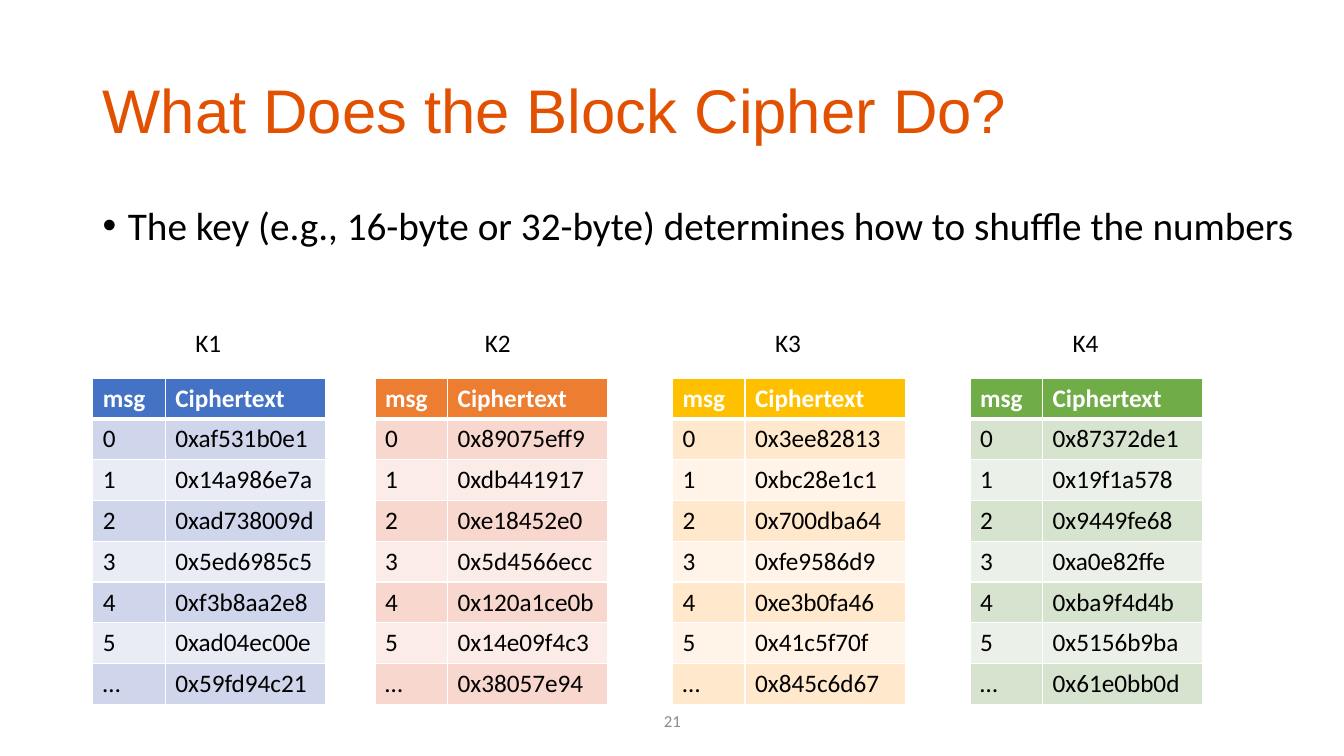
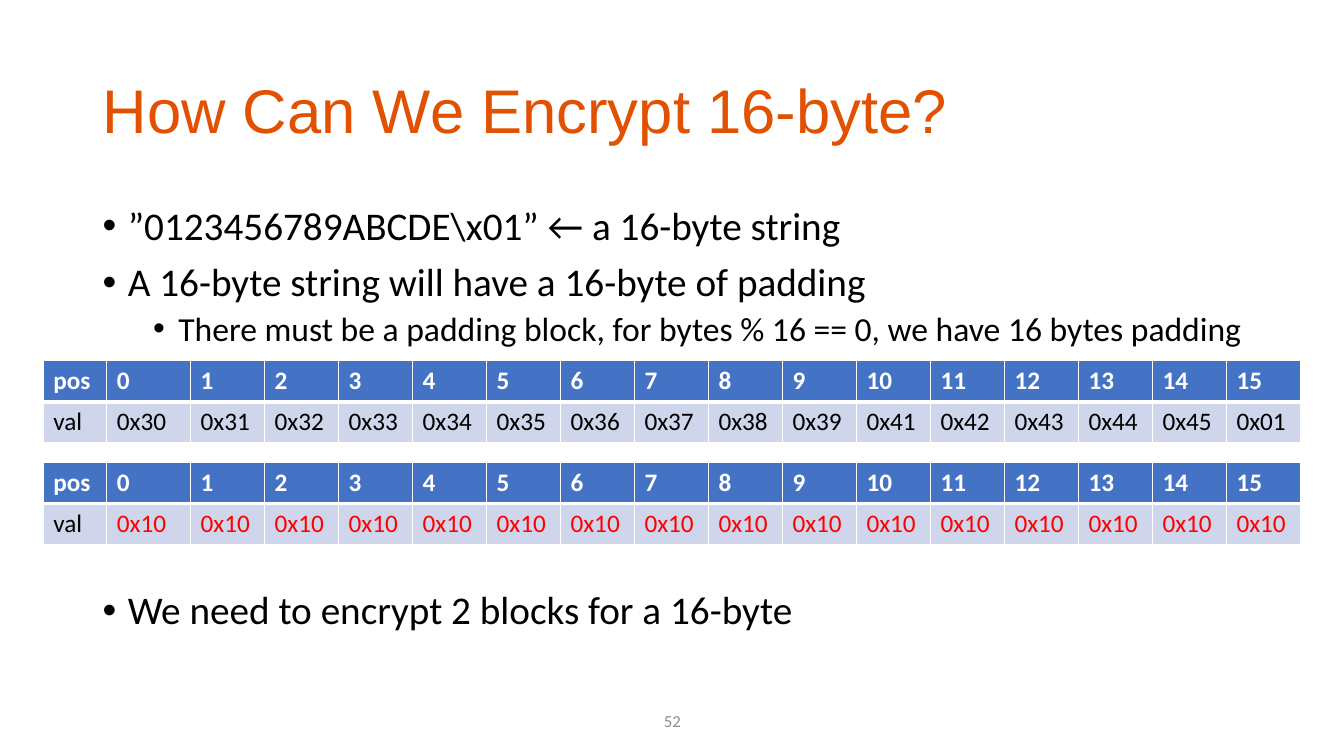
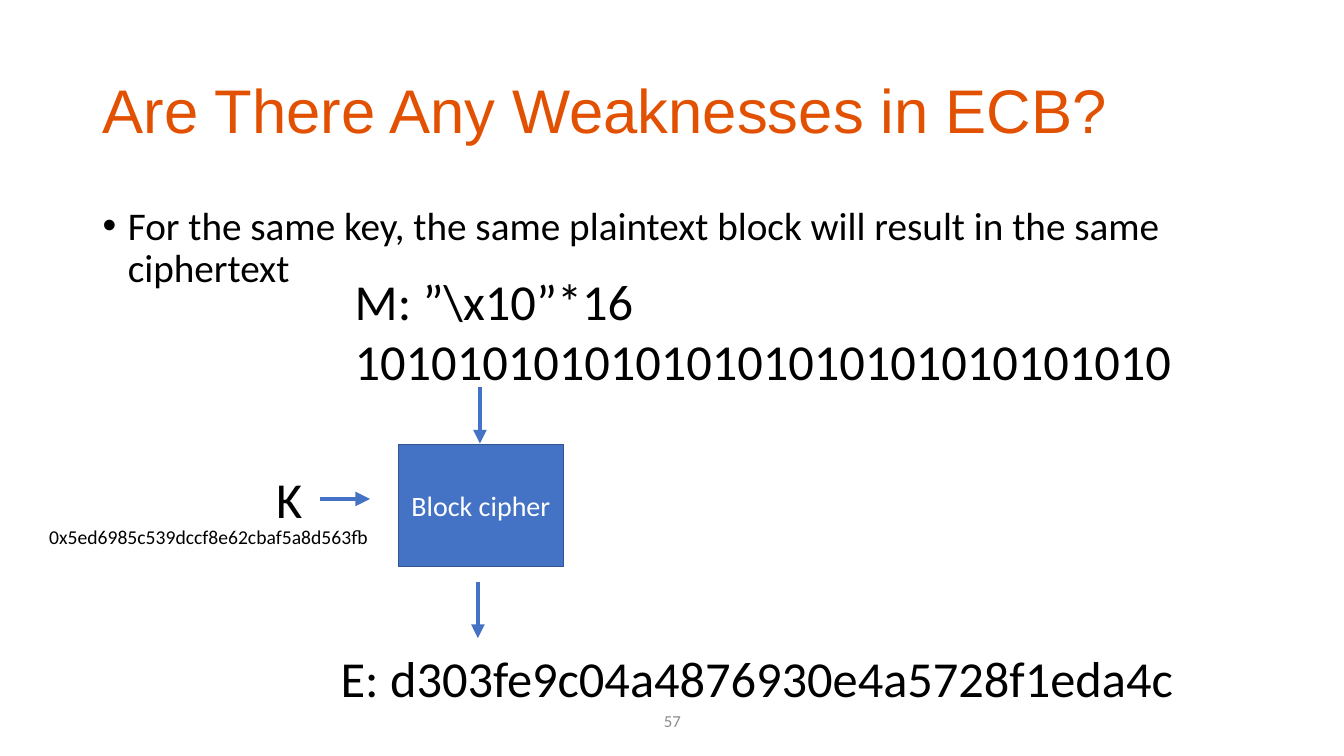
from lxml import etree
from pptx import Presentation
from pptx.dml.color import RGBColor
from pptx.enum import shapes, text
from pptx.oxml.ns import qn
from pptx.util import Inches, Pt

WHITE = RGBColor(0xFF, 0xFF, 0xFF)
BLACK = RGBColor(0, 0, 0)
RED = RGBColor(0xFF, 0, 0)
TITLE_ORANGE = RGBColor(0xE1, 0x51, 0x01)
FOOTER_GRAY = RGBColor(0x8C, 0x8C, 0x8C)
BLUE = RGBColor(0x44, 0x72, 0xC4)
BLUE_EDGE = RGBColor(0x32, 0x54, 0x91)

# Table themes: header fill, odd row fill, even row fill
BLUE_THEME = (BLUE, RGBColor(0xCF, 0xD5, 0xEA), RGBColor(0xE9, 0xEB, 0xF5))
ORANGE_THEME = (RGBColor(0xED, 0x7D, 0x31), RGBColor(0xF8, 0xD7, 0xCE), RGBColor(0xFC, 0xEC, 0xE8))
GOLD_THEME = (RGBColor(0xFF, 0xC0, 0x00), RGBColor(0xFF, 0xE8, 0xCC), RGBColor(0xFF, 0xF4, 0xE7))
GREEN_THEME = (RGBColor(0x70, 0xAD, 0x47), RGBColor(0xD5, 0xE3, 0xCF), RGBColor(0xEB, 0xF1, 0xE9))

CENTER = text.PP_ALIGN.CENTER
MIDDLE = text.MSO_ANCHOR.MIDDLE
MARGIN = 0.92
ROW_HEIGHT = 0.81 / 2

MESSAGES = ["0", "1", "2", "3", "4", "5", "…"]
# Key, label left, table left, theme, ciphertexts
KEY_TABLES = [
    ("K1", 1.84, 0.92, BLUE_THEME,
     ["0xaf531b0e1", "0x14a986e7a", "0xad738009d", "0x5ed6985c5",
      "0xf3b8aa2e8", "0xad04ec00e", "0x59fd94c21"]),
    ("K2", 4.71, 3.72, ORANGE_THEME,
     ["0x89075eff9", "0xdb441917", "0xe18452e0", "0x5d4566ecc",
      "0x120a1ce0b", "0x14e09f4c3", "0x38057e94"]),
    ("K3", 7.59, 6.67, GOLD_THEME,
     ["0x3ee82813", "0xbc28e1c1", "0x700dba64", "0xfe9586d9",
      "0xe3b0fa46", "0x41c5f70f", "0x845c6d67"]),
    ("K4", 10.54, 9.62, GREEN_THEME,
     ["0x87372de1", "0x19f1a578", "0x9449fe68", "0xa0e82ffe",
      "0xba9f4d4b", "0x5156b9ba", "0x61e0bb0d"]),
]

# Top, byte values, value colour
BYTE_TABLES = [
    (3.58, [*map(ord, "0123456789ABCDE"), 0x01], BLACK),
    (4.59, [0x10] * 16, RED),
]

# Bullets: text, level, space before in points
SHUFFLE_BULLETS = [
    ("The key (e.g., 16-byte or 32-byte) determines how to shuffle the numbers", 0, 10),
]
PADDING_BULLETS = [
    ("”0123456789ABCDE\\x01” ← a 16-byte string", 0, 10),
    ("A 16-byte string will have a 16-byte of padding", 0, 10),
    ("There must be a padding block, for bytes % 16 == 0, we have 16 bytes padding", 1, 5),
    ("We need to encrypt 2 blocks for a 16-byte", 0, 173),
]
WEAKNESS_BULLETS = [
    ("For the same key, the same plaintext block will result in the same ciphertext", 0, 10),
]

# Lines, left, top, width, height, size, alignment
ECB_LABELS = [
    (["K"], 2.64, 4.59, 0.6, 0.71, 36, None),
    (["M: ”\\x10”*16", "10101010101010101010101010101010"], 3.42, 2.63, 9, 1.31, 36, None),
    (["E: d303fe9c04a4876930e4a5728f1eda4c"], 3.28, 6.37, 8.87, 0.71, 36, None),
    (["0x5ed6985c539dccf8e62cbaf5a8d563fb"], 0.32, 5.16, 3.5, 0.34, 14, CENTER),
]
# Start x, start y, end x, end y, width in points
ECB_ARROWS = [
    (3.17, 4.95, 3.67, 4.95, 3.5),
    (4.74, 5.77, 4.74, 6.33, 3.25),
    (4.76, 3.84, 4.76, 4.4, 3.25),
]


def style(para, size, color=BLACK, name="Calibri", bold=False):
    para.font.size = Pt(size)
    para.font.name = name
    para.font.bold = bold
    para.font.color.rgb = color


def add_text(page, lines, left, top, width, height, size, align=None,
             color=BLACK, name="Calibri", anchor=text.MSO_ANCHOR.TOP):
    box = page.shapes.add_textbox(Inches(left), Inches(top), Inches(width), Inches(height))
    frame = box.text_frame
    frame.word_wrap = True
    frame.vertical_anchor = anchor
    frame.text = "\n".join(lines)
    for para in frame.paragraphs:
        para.alignment = align
        style(para, size, color, name)
    return frame


def add_bullets(page, bullets, width):
    lines = [line for line, _, _ in bullets]
    frame = add_text(page, lines, MARGIN, 2, width, 4.76, 28)
    for para, (_, level, before) in zip(frame.paragraphs, bullets):
        para.font.size = Pt(28 - 4 * level)
        para.level = level
        para.line_spacing = 0.9
        para.space_before = Pt(before)
        props = para._p.get_or_add_pPr()
        props.set("marL", str(Inches(0.25 + 0.5 * level)))
        props.set("indent", str(Inches(-0.25)))
        bullet_font = etree.Element(qn("a:buFont"), typeface="Arial")
        bullet = etree.Element(qn("a:buChar"), char="•")
        default_font = props.find(qn("a:defRPr"))
        default_font.addprevious(bullet_font)
        default_font.addprevious(bullet)


def add_page(deck, title, number, bullets, body_width=11.5):
    page = deck.slides.add_slide(deck.slide_layouts[6])
    heading = add_text(page, [title], MARGIN, 0.4, 11.5, 1.45, 44,
                       color=TITLE_ORANGE, name="Arial", anchor=MIDDLE)
    heading.paragraphs[0].line_spacing = 0.9
    add_bullets(page, bullets, body_width)
    add_text(page, [str(number)], 5.17, 6.95, 3, 0.4, 12, CENTER, FOOTER_GRAY, anchor=MIDDLE)
    return page


def set_borders(cell, top, bottom):
    """Draw white borders; top and bottom are widths in points."""
    props = cell._tc.get_or_add_tcPr()
    for side, width in (("L", 1), ("R", 1), ("T", top), ("B", bottom)):
        line = etree.SubElement(props, qn(f"a:ln{side}"), w=str(Pt(width)))
        fill = etree.SubElement(line, qn("a:solidFill"))
        etree.SubElement(fill, qn("a:srgbClr"), val=str(WHITE))


def add_banded_table(page, rows, left, top, widths, theme, value_color=BLACK):
    """Add a header row and banded rows; value_color applies after the first column."""
    frame = page.shapes.add_table(len(rows), len(widths), Inches(left), Inches(top),
                                  Inches(sum(widths)), Inches(ROW_HEIGHT * len(rows)))
    table = frame.table
    for column, width in zip(table.columns, widths):
        column.width = Inches(width)
    header, odd, even = theme
    for r, row in enumerate(rows):
        for c, value in enumerate(row):
            cell = table.cell(r, c)
            set_borders(cell, 3 if r == 1 else 1, 3 if r == 0 else 1)
            cell.fill.solid()
            cell.fill.fore_color.rgb = header if r == 0 else odd if r % 2 else even
            cell.text = value
            color = WHITE if r == 0 else value_color if c else BLACK
            style(cell.text_frame.paragraphs[0], 18, color, bold=r == 0)


def add_arrow(page, x1, y1, x2, y2, width):
    arrow = page.shapes.add_connector(shapes.MSO_CONNECTOR.STRAIGHT,
                                      Inches(x1), Inches(y1), Inches(x2), Inches(y2))
    arrow.line.color.rgb = BLUE
    arrow.line.width = Pt(width)
    line = arrow._element.spPr.find(qn("a:ln"))
    etree.SubElement(line, qn("a:tailEnd"), type="triangle")
    etree.SubElement(arrow._element.spPr, qn("a:effectLst"))


def add_cipher_box(page):
    box = page.shapes.add_shape(shapes.MSO_SHAPE.RECTANGLE,
                                Inches(3.95), Inches(4.41), Inches(1.64), Inches(1.21))
    box.shadow.inherit = False
    box.fill.solid()
    box.fill.fore_color.rgb = BLUE
    box.line.color.rgb = BLUE_EDGE
    box.line.width = Pt(1)
    box.text_frame.text = "Block cipher"
    box.text_frame.vertical_anchor = MIDDLE
    para = box.text_frame.paragraphs[0]
    para.alignment = CENTER
    style(para, 20, WHITE)


def build_shuffle_page(deck):
    page = add_page(deck, "What Does the Block Cipher Do?", 21, SHUFFLE_BULLETS, 12.21)
    for key, label_left, left, theme, ciphertexts in KEY_TABLES:
        rows = [("msg", "Ciphertext"), *zip(MESSAGES, ciphertexts)]
        add_banded_table(page, rows, left, 3.75, [0.72, 1.59], theme)
        add_text(page, [key], label_left, 3.2, 0.6, 0.4, 18)


def build_padding_page(deck):
    page = add_page(deck, "How Can We Encrypt 16-byte?", 52, PADDING_BULLETS)
    first_widths = [0.63, 0.83]
    widths = first_widths + [(12.47 - sum(first_widths)) / 15] * 15
    for top, block, color in BYTE_TABLES:
        rows = [["pos", *map(str, range(len(block)))],
                ["val", *(f"0x{value:02x}" for value in block)]]
        add_banded_table(page, rows, 0.43, top, widths, BLUE_THEME, color)


def build_weakness_page(deck):
    page = add_page(deck, "Are There Any Weaknesses in ECB?", 57, WEAKNESS_BULLETS)
    add_cipher_box(page)
    for label in ECB_LABELS:
        add_text(page, *label)
    for arrow in ECB_ARROWS:
        add_arrow(page, *arrow)


def main():
    deck = Presentation()
    deck.slide_width = Inches(13.33)
    deck.slide_height = Inches(7.5)
    build_shuffle_page(deck)
    build_padding_page(deck)
    build_weakness_page(deck)
    deck.save("out.pptx")


if __name__ == "__main__":
    main()
